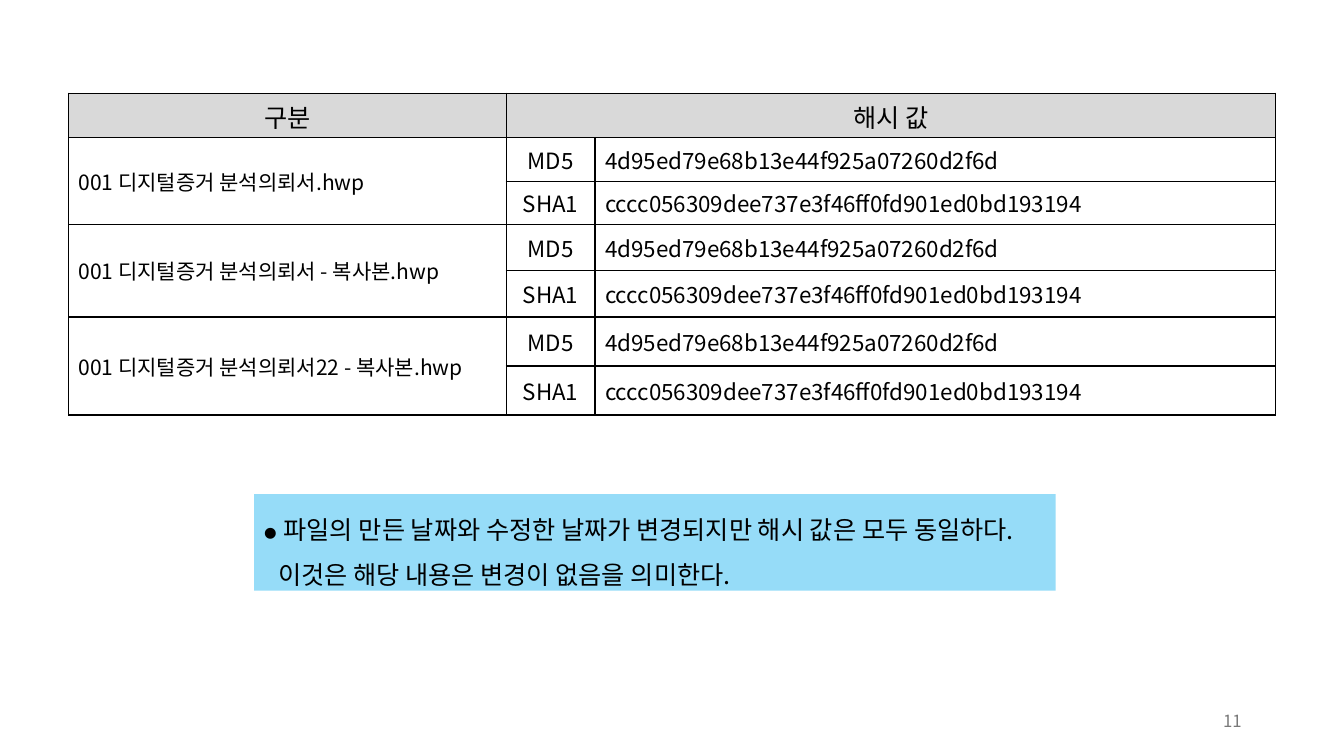
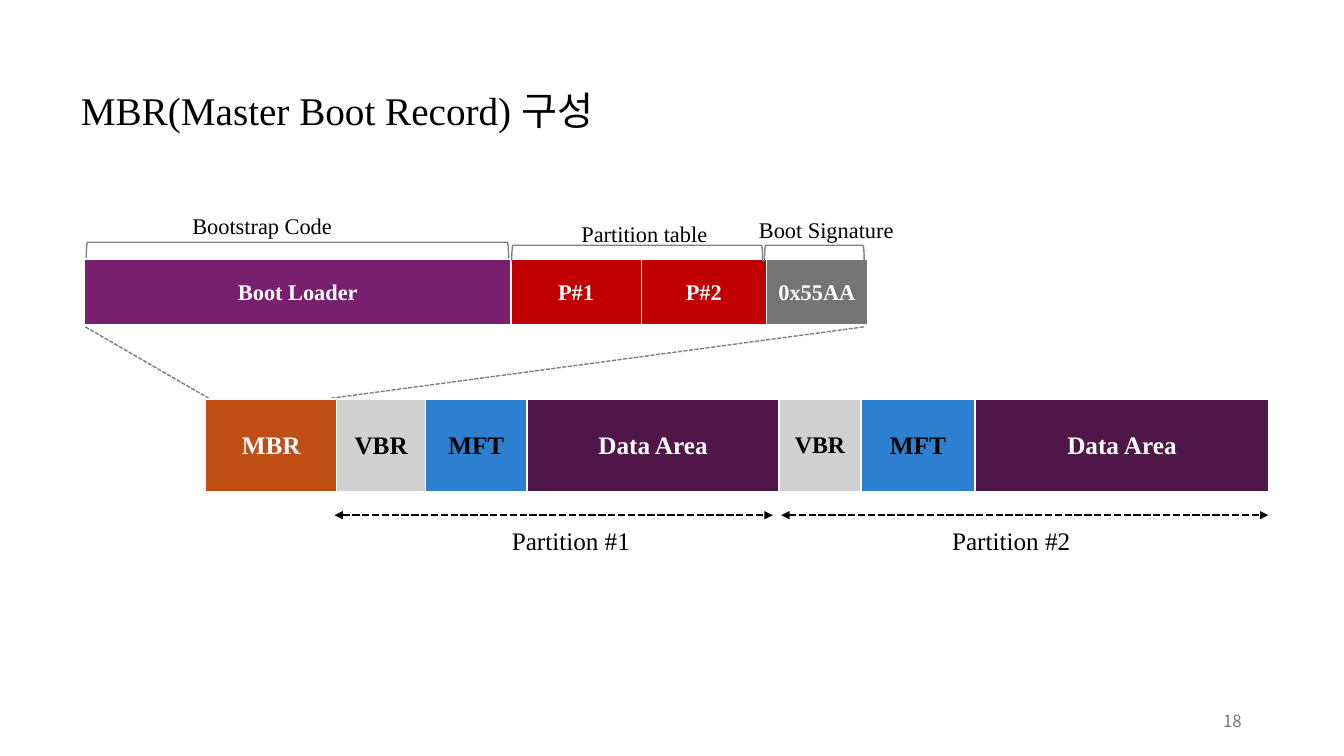
from lxml.etree import SubElement
from pptx import Presentation
from pptx.dml.color import RGBColor
from pptx.enum.dml import MSO_LINE_DASH_STYLE as Dash
from pptx.enum.shapes import MSO_CONNECTOR as Link, MSO_SHAPE as Shape
from pptx.enum.text import MSO_ANCHOR as Anchor, MSO_AUTO_SIZE as Fit, PP_ALIGN as Align
from pptx.oxml.ns import qn
from pptx.util import Pt

SANS, SERIF = "Noto Sans CJK KR", "Times New Roman"
BLACK, WHITE, GRAY, MUTED = "000000", "FFFFFF", "808080", "797979"
HEAD, NOTE = "D9D9D9", "96DCF8"
PURPLE, RED, STEEL = "78206E", "C00000", "747474"
ORANGE, SILVER, BLUE, PLUM = "C04F15", "D1D1D1", "2D7FCF", "501649"
TITLE_ONLY, BLANK = 5, 6


def color(code):
    return RGBColor.from_string(code)


def style(frame, size, face=SANS, ink=BLACK, bold=False, align=Align.LEFT, gap=None):
    """Format every run of a text frame."""
    for para in frame.paragraphs:
        para.alignment = align
        if gap:
            para.line_spacing = gap
        for run in para.runs:
            font = run.font
            font.size, font.name, font.bold = Pt(size), face, bold
            font.color.rgb = color(ink)
            SubElement(font._element, qn("a:ea"), typeface=SANS)


def label(slide, left, top, width, height, text, size, **look):
    box = slide.shapes.add_textbox(Pt(left), Pt(top), Pt(width), Pt(height))
    frame = box.text_frame
    frame.text = text
    frame.word_wrap = False
    style(frame, size, **look)
    return frame


def page(deck, layout, number):
    """Add a slide with its page number."""
    slide = deck.slides.add_slide(deck.slide_layouts[layout])
    frame = label(slide, 678, 500.4, 216, 28.8, number, 12, ink=MUTED, align=Align.RIGHT)
    frame.word_wrap = True
    frame.vertical_anchor = Anchor.MIDDLE
    return slide


def grid(slide, left, top, cols, rows):
    """Add a plain table with the given column widths and row heights."""
    table = slide.shapes.add_table(len(rows), len(cols), Pt(left), Pt(top),
                                   Pt(sum(cols)), Pt(sum(rows))).table
    table.first_row = table.horz_banding = False
    for col, width in zip(table.columns, cols):
        col.width = Pt(width)
    for row, height in zip(table.rows, rows):
        row.height = Pt(height)
    return table


def paint(cell, fill, edge, base=1):
    """Set the borders and then the fill, in the order the schema asks for."""
    props = cell._tc.get_or_add_tcPr()
    for side, weight in (("L", 1), ("R", 1), ("T", 1), ("B", base)):
        line = SubElement(props, qn(f"a:ln{side}"), w=str(Pt(weight)))
        solid = SubElement(line, qn("a:solidFill"))
        SubElement(solid, qn("a:srgbClr"), val=edge)
    cell.fill.solid()
    cell.fill.fore_color.rgb = color(fill)


def fill_in(cell, text, size, **look):
    cell.text = text
    cell.vertical_anchor = Anchor.MIDDLE
    style(cell.text_frame, size, **look)


def hashes(slide, left, top, files, sums):
    """Table of files, each with one row per hash."""
    table = grid(slide, left, top, (312.5, 63.5, 486), (32, 31, 31, 33, 33, 35, 35))
    for cell in table.iter_cells():
        paint(cell, WHITE, BLACK)
    for col, text in enumerate(("구분", "해시 값")):
        fill_in(table.cell(0, col), text, 18, align=Align.CENTER)
    for cell in table.rows[0].cells:
        cell.fill.fore_color.rgb = color(HEAD)
    table.cell(0, 1).merge(table.cell(0, 2))
    for i, name in enumerate(files):
        first = 1 + i * len(sums)
        fill_in(table.cell(first, 0), name, 15)
        table.cell(first, 0).merge(table.cell(first + len(sums) - 1, 0))
        for row, (kind, value) in enumerate(sums, first):
            fill_in(table.cell(row, 1), kind, 16, align=Align.CENTER)
            fill_in(table.cell(row, 2), value, 16)


def note(slide, left, top, width, height, lines):
    """Coloured box whose first line has a bullet."""
    box = slide.shapes.add_shape(Shape.RECTANGLE, Pt(left), Pt(top), Pt(width), Pt(height))
    box.shadow.inherit = False
    box.fill.solid()
    box.fill.fore_color.rgb = color(NOTE)
    box.line.fill.background()
    frame = box.text_frame
    frame.text = "\n".join(lines)
    frame.word_wrap, frame.auto_size = True, Fit.NONE
    frame.margin_right = 0
    frame.vertical_anchor = Anchor.TOP
    style(frame, 18, gap=1.5)
    head, tail = (para._p.get_or_add_pPr() for para in frame.paragraphs)
    head.set("marL", str(Pt(14)))
    head.set("indent", str(Pt(-14)))
    SubElement(head, qn("a:buFont"), typeface=SANS)
    SubElement(head, qn("a:buChar"), char="⦁")
    tail.set("marL", str(Pt(10)))


def band(slide, left, top, height, size, parts):
    """Row of coloured disk areas: width, text, fill, ink."""
    table = grid(slide, left, top, [part[0] for part in parts], [height])
    for cell, (_, text, fill, ink) in zip(table.iter_cells(), parts):
        paint(cell, fill, WHITE, 3)
        fill_in(cell, text, size, face=SERIF, ink=ink, bold=True, align=Align.CENTER)
    return table


def brace(slide, left, top, width, height):
    """Bracket that opens downward and fills the given box."""
    shape = slide.shapes.add_shape(
        Shape.RIGHT_BRACKET, Pt(left + (width - height) / 2),
        Pt(top + (height - width) / 2), Pt(height), Pt(width))
    shape.rotation = 270
    shape.shadow.inherit = False
    shape.fill.background()
    shape.line.color.rgb = color(GRAY)
    shape.line.width = Pt(1)


def dashed(slide, x1, y1, x2, y2, ink=GRAY, weight=1, arrows=False):
    link = slide.shapes.add_connector(Link.STRAIGHT, Pt(x1), Pt(y1), Pt(x2), Pt(y2))
    line = link.line
    line.color.rgb = color(ink)
    line.width = Pt(weight)
    line.dash_style = Dash.SQUARE_DOT
    if arrows:
        for end in ("headEnd", "tailEnd"):
            SubElement(line._get_or_add_ln(), qn(f"a:{end}"), type="triangle")
    SubElement(link._element.spPr, qn("a:effectLst"))


def boot(slide, left, top):
    """Layout of the boot record, with a bracket over each part."""
    band(slide, left, top, 48, 16, (
        (304.5, "Boot Loader", PURPLE, WHITE), (93, "P#1", RED, WHITE),
        (89.5, "P#2", RED, WHITE), (72, "0x55AA", STEEL, WHITE)))
    for text, x, y, width, start, rise, span in (
            ("Bootstrap Code", 69.8, -36.7, 116, 1.1, -12, 301.7),
            ("Partition table", 347.7, -31.6, 106, 305, -9.8, 179.3),
            ("Boot Signature", 474.5, -33.8, 112, 485.5, -9.8, 71.3)):
        label(slide, left + x, top + y, width, 26.6, text, 16, face=SERIF)
        brace(slide, left + start, top + rise, span, 11.5)


def disk(slide, left, top):
    """Layout of the disk, with an arrow under each partition."""
    table = band(slide, left, top, 67, 18, (
        (93.5, "MBR", ORANGE, WHITE),
        (63.5, "VBR", SILVER, BLACK), (72.5, "MFT", BLUE, BLACK),
        (180, "Data Area", PLUM, WHITE),
        (58.5, "VBR", SILVER, BLACK), (81.5, "MFT", BLUE, BLACK),
        (210, "Data Area", PLUM, WHITE)))
    table.cell(0, 4).text_frame.paragraphs[0].runs[0].font.size = Pt(17)
    for text, start, end, x in (("Partition #1", 92, 405, 211.5),
                                ("Partition #2", 411, 759, 526)):
        dashed(slide, left + start, top + 83, left + end, top + 83, BLACK, 1.75, True)
        label(slide, left + x, top + 87, 100, 29, text, 18, face=SERIF)


def hash_page(deck):
    slide = page(deck, BLANK, "11")
    hashes(slide, 49, 66.5,
           ("001 디지털증거 분석의뢰서.hwp",
            "001 디지털증거 분석의뢰서 - 복사본.hwp",
            "001 디지털증거 분석의뢰서22 - 복사본.hwp"),
           (("MD5", "4d95ed79e68b13e44f925a07260d2f6d"),
            ("SHA1", "cccc056309dee737e3f46ff0fd901ed0bd193194")))
    note(slide, 181.5, 353, 572.5, 69,
         ("파일의 만든 날짜와 수정한 날짜가 변경되지만 해시 값은 모두 동일하다.",
          "이것은 해당 내용은 변경이 없음을 의미한다."))


def boot_page(deck):
    slide = page(deck, TITLE_ONLY, "18")
    title = slide.shapes.title
    title.left, title.top, title.width, title.height = map(Pt, (50.5, 41, 396, 52))
    frame = title.text_frame
    frame.text = "MBR(Master Boot Record) 구성"
    frame.word_wrap, frame.auto_size = False, Fit.NONE
    frame.vertical_anchor = Anchor.TOP
    style(frame, 28, face=SERIF, gap=1.5)
    boot(slide, 60.5, 185)
    dashed(slide, 61, 233.5, 150, 285)
    dashed(slide, 617, 233.5, 232.5, 285)
    disk(slide, 147, 285)


def main():
    deck = Presentation()
    deck.slide_width, deck.slide_height = Pt(960), Pt(540)
    hash_page(deck)
    boot_page(deck)
    deck.save("out.pptx")


if __name__ == "__main__":
    main()
